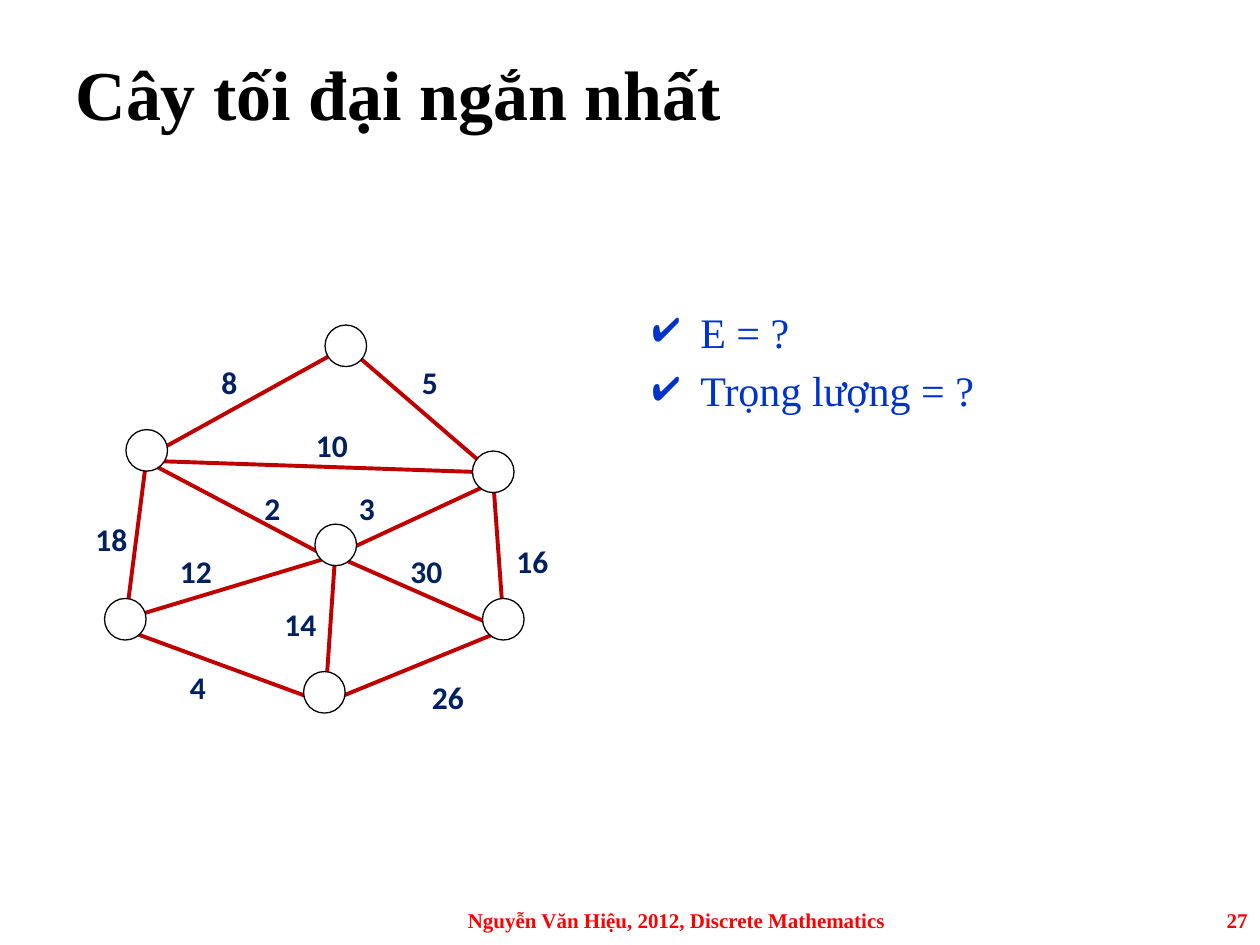
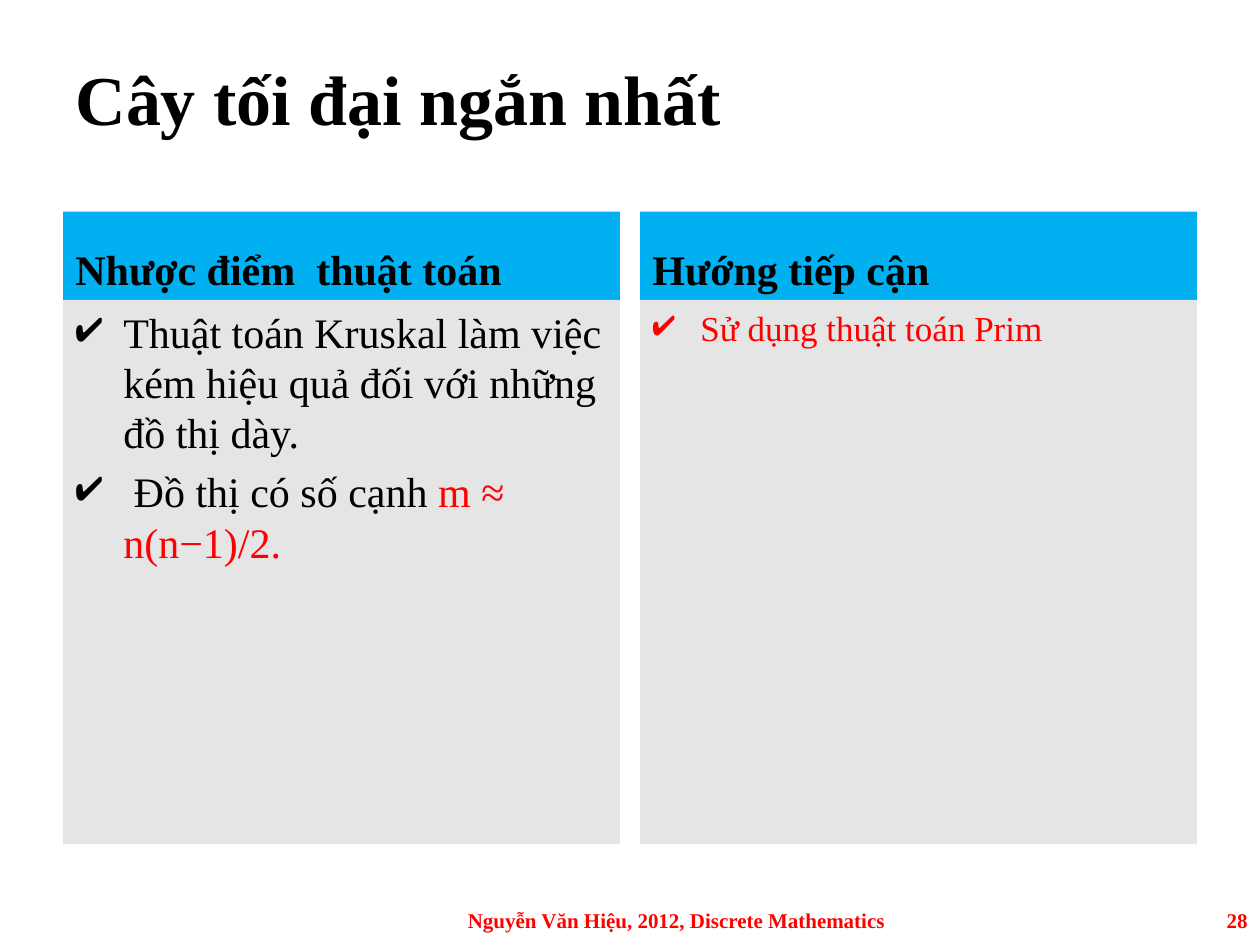
"""Build two slides on the minimum spanning tree: a weighted graph and a comparison."""
from dataclasses import dataclass

from lxml.etree import SubElement
from pptx import Presentation
from pptx.dml.color import RGBColor
from pptx.enum.shapes import MSO_CONNECTOR as Connector, MSO_SHAPE as Shape
from pptx.enum.text import MSO_ANCHOR as Anchor, MSO_AUTO_SIZE as AutoSize, PP_ALIGN as Align
from pptx.oxml.ns import qn
from pptx.util import Inches, Pt


@dataclass(frozen=True)
class Theme:
    """Colours, fonts and type sizes shared by the slides."""
    white: str = "FFFFFF"
    black: str = "000000"
    red: str = "FF0000"
    blue: str = "0033CC"
    navy: str = "002060"
    edge: str = "C00000"
    band: str = "00B0F0"
    panel: str = "E5E5E5"
    serif: str = "Times New Roman"
    sans: str = "Calibri"
    title_size: int = 40
    body_size: int = 24
    small_body_size: int = 20
    weight_size: int = 18
    footer_size: int = 12


THEME = Theme()
TITLE = "Cây tối đại ngắn nhất"
FOOTER = "Nguyễn Văn Hiệu, 2012, Discrete Mathematics"
LEFT, RIGHT, COLUMN_WIDTH = 0.5, 5.08, 4.42
HEADING_TOP, HEADING_HEIGHT = 1.68, 0.7
BODY_TOP, BODY_HEIGHT = HEADING_TOP + HEADING_HEIGHT, 4.32
NODE_SIZE = 0.33

NODES = [(1, 3.41), (2.58, 2.58), (3.75, 3.58), (3.83, 4.75),
         (2.5, 4.16), (2.41, 5.33), (0.83, 4.75)]

EDGES = [
    ("10", (2.41, 3.33), (3.91, 3.75), (1.25, 3.66)),
    ("2", (2, 3.83), (2.58, 4.41), (1.16, 3.66)),
    ("3", (2.75, 3.83), (3.91, 3.83), (2.66, 4.41)),
    ("8", (1.66, 2.83), (2.75, 2.75), (1.25, 3.58)),
    ("5", (3.25, 2.83), (3.91, 3.75), (2.75, 2.75)),
    ("16", (4, 4.25), (3.91, 3.75), (4, 5)),
    ("30", (3.16, 4.33), (4, 5), (2.66, 4.41)),
    ("14", (2.16, 4.75), (2.58, 5.58), (2.66, 4.41)),
    ("26", (3.33, 5.33), (4, 5), (2.58, 5.58)),
    ("18", (0.66, 4.08), (1, 4.91), (1.16, 3.66)),
    ("12", (1.33, 4.33), (2.66, 4.41), (1, 4.91)),
    ("4", (1.41, 5.25), (2.58, 5.58), (1, 5)),
]


def set_all(target, values):
    """Set each attribute of target from a dict."""
    for name, value in values.items():
        setattr(target, name, value)


class Deck:
    """Hold the theme and the current slide, and draw each kind of element."""

    def __init__(self, theme):
        """Start a presentation of 10 by 7.5 inches."""
        self.theme = theme
        self.presentation = Presentation()
        set_all(self.presentation, {"slide_width": Inches(10), "slide_height": Inches(7.5)})
        self.slide = None

    def add_slide(self, number, title_height):
        """Add a slide with its title, footer and number."""
        theme = self.theme
        self.slide = self.presentation.slides.add_slide(self.presentation.slide_layouts[5])
        title = self.slide.shapes.title
        set_all(title, {"left": Inches(0.5), "top": Inches(0.3),
                        "width": Inches(9), "height": Inches(title_height)})
        self.frame(title, Anchor.MIDDLE)
        self.add_runs(title.text_frame.paragraphs[0], [(TITLE, theme.black)],
                      size=theme.title_size, bold=True)
        for text, left, width, align in ((FOOTER, 3.33, 4.08, Align.CENTER),
                                         (str(number), 7.67, 2.33, Align.RIGHT)):
            self.text(text, (left, 7.1, width, 0.4), theme.red, anchor=Anchor.MIDDLE,
                      align=align, size=theme.footer_size, bold=True)

    def frame(self, shape, anchor):
        """Give a text frame its margins, wrapping and anchor."""
        set_all(shape.text_frame, {
            "word_wrap": True, "auto_size": AutoSize.NONE, "vertical_anchor": anchor,
            "margin_left": Inches(0.1), "margin_right": Inches(0.1),
            "margin_top": Inches(0.05), "margin_bottom": Inches(0.05)})

    def add_runs(self, paragraph, runs, size, bold=False, font=None, align=Align.LEFT):
        """Add coloured runs to a paragraph."""
        paragraph.alignment = align
        for text, color in runs:
            run = paragraph.add_run()
            run.text = text
            set_all(run.font, {"name": font or self.theme.serif,
                               "size": Pt(size), "bold": bold})
            run.font.color.rgb = RGBColor.from_string(color)

    def box(self, place, fill=None, anchor=Anchor.TOP):
        """Add a text box, filled if a colour is given."""
        box = self.slide.shapes.add_textbox(*map(Inches, place))
        self.frame(box, anchor)
        if fill:
            box.fill.solid()
            box.fill.fore_color.rgb = RGBColor.from_string(fill)
        return box

    def text(self, text, place, color, fill=None, anchor=Anchor.TOP, **style):
        """Add one line of text."""
        box = self.box(place, fill, anchor)
        self.add_runs(box.text_frame.paragraphs[0], [(text, color)], **style)

    def heading(self, text, left):
        """Add a column heading on a band."""
        self.text(text, (left, HEADING_TOP, COLUMN_WIDTH, HEADING_HEIGHT), self.theme.black,
                  self.theme.band, Anchor.BOTTOM, size=self.theme.body_size, bold=True)

    def checklist(self, items, left, size, fill=None):
        """Add a column of check-marked paragraphs."""
        box = self.box((left, BODY_TOP, COLUMN_WIDTH, BODY_HEIGHT), fill)
        for index, runs in enumerate(items):
            paragraph = box.text_frame.paragraphs[0] if index == 0 else box.text_frame.add_paragraph()
            self.check_mark(paragraph, runs[0][1])
            if index:
                paragraph.space_before = Pt(4.8)
            self.add_runs(paragraph, runs, size)

    def check_mark(self, paragraph, color):
        """Give a paragraph a hanging check mark."""
        properties = paragraph._p.get_or_add_pPr()
        properties.set("marL", str(Inches(0.38)))
        properties.set("indent", str(Inches(-0.38)))
        SubElement(SubElement(properties, qn("a:buClr")), qn("a:srgbClr"), val=color)
        SubElement(properties, qn("a:buChar"), char="✔")

    def edge(self, start, end):
        """Add a graph edge with round ends."""
        line = self.slide.shapes.add_connector(Connector.STRAIGHT, *map(Inches, start + end))
        line.line.width = Pt(2.25)
        line.line.color.rgb = RGBColor.from_string(self.theme.edge)
        for tag in ("a:headEnd", "a:tailEnd"):
            SubElement(line.line._get_or_add_ln(), qn(tag), type="oval")
        SubElement(line._element.spPr, qn("a:effectLst"))

    def weight(self, text, place):
        """Add the weight of an edge."""
        self.text(text, place + (0.5, 0.38), self.theme.navy, size=self.theme.weight_size,
                  bold=True, font=self.theme.sans)

    def node(self, left, top):
        """Add a graph node."""
        node = self.slide.shapes.add_shape(
            Shape.OVAL, *map(Inches, (left, top, NODE_SIZE, NODE_SIZE)))
        node.shadow.inherit = False
        node.fill.solid()
        node.fill.fore_color.rgb = RGBColor.from_string(self.theme.white)
        node.line.width = Pt(0.75)
        node.line.color.rgb = RGBColor.from_string(self.theme.black)


def draw_graph_slide(deck):
    """Draw the weighted graph and its questions."""
    theme = deck.theme
    deck.add_slide(27, 0.87)
    deck.checklist([[("E = ?", theme.blue)], [("Trọng lượng = ?", theme.blue)]],
                   RIGHT, theme.body_size)
    for _, _, start, end in EDGES:
        deck.edge(start, end)
    for weight, place, _, _ in EDGES:
        deck.weight(weight, place)
    for left, top in NODES:
        deck.node(left, top)


def draw_comparison_slide(deck):
    """Draw the drawbacks beside the approach."""
    theme = deck.theme
    deck.add_slide(28, 0.95)
    drawbacks = [
        [("Thuật toán Kruskal làm việc kém hiệu quả đối với những đồ thị dày.", theme.black)],
        [(" Đồ thị có số cạnh ", theme.black), ("m ≈ n(n−1)/2.", theme.red)],
    ]
    approach = [[("Sử dụng thuật toán Prim", theme.red)]]
    for heading, items, left, size in (
            ("Nhược điểm  thuật toán", drawbacks, LEFT, theme.body_size),
            ("Hướng tiếp cận", approach, RIGHT, theme.small_body_size)):
        deck.heading(heading, left)
        deck.checklist(items, left, size, theme.panel)


def main():
    """Build and save the presentation."""
    deck = Deck(THEME)
    draw_graph_slide(deck)
    draw_comparison_slide(deck)
    deck.presentation.save("out.pptx")


if __name__ == "__main__":
    main()
